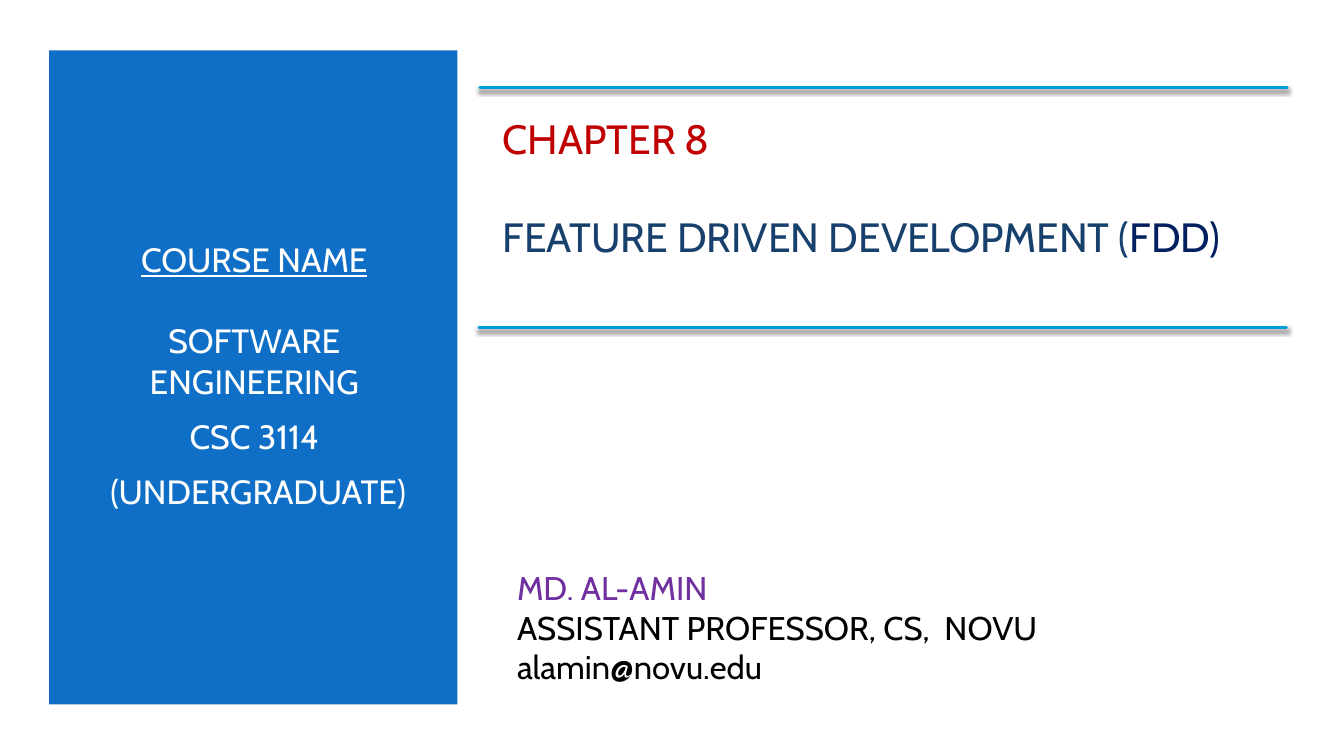
"""Build the title slide of a software engineering chapter."""
from typing import NamedTuple

from lxml import etree
from pptx import Presentation
from pptx.dml.color import RGBColor
from pptx.enum import shapes, text
from pptx.oxml import ns
from pptx.slide import Slide
from pptx.util import Cm, Pt

WHITE = RGBColor(0xFF, 0xFF, 0xFF)
BLACK = RGBColor(0x00, 0x00, 0x00)
BLUE = RGBColor(0x0F, 0x6F, 0xC6)
CYAN = RGBColor(0x00, 0x9D, 0xD9)
RED = RGBColor(0xC0, 0x00, 0x00)
NAVY = RGBColor(0x17, 0x40, 0x6D)
DARK = RGBColor(0x00, 0x20, 0x60)
PURPLE = RGBColor(0x70, 0x30, 0xA0)

WIDTH, HEIGHT = 33.87, 19.05
FONT = "Cabin"
SHADOW = (
    f'<a:effectLst xmlns:a="{ns.nsuri("a")}">'
    '<a:outerShdw blurRad="38100" dist="25400" dir="5400000" rotWithShape="0">'
    '<a:srgbClr val="000000"><a:alpha val="55000"/></a:srgbClr>'
    "</a:outerShdw></a:effectLst>"
)


class Box(NamedTuple):
    left: float
    top: float
    width: float
    height: float


class Panel(NamedTuple):
    box: Box
    color: RGBColor


class Rule(NamedTuple):
    left: float
    top: float
    width: float


class Span(NamedTuple):
    words: str
    color: RGBColor


class Line(NamedTuple):
    spans: list[Span]
    before: float = 0
    after: float = 0
    under: bool = False


class Block(NamedTuple):
    box: Box
    size: float
    align: text.PP_ALIGN
    lines: list[Line]


PANELS = [
    Panel(Box(0, 0, WIDTH, HEIGHT), WHITE),
    Panel(Box(1.24, 1.27, 10.29, 16.48), BLUE),
]
RULES = [Rule(12.09, 2.21, 20.35), Rule(12.07, 8.26, 20.35)]
COURSE = Block(Box(2.13, 2.79, 8.56, 13.34), 24, text.PP_ALIGN.CENTER, [
    Line([Span("COURSE NAME", WHITE)], under=True),
    Line([Span("SOFTWARE ENGINEERING", WHITE)], 29, 6),
    Line([Span("CSC 3114", WHITE)], 4.8, 6),
    Line([Span(" (UNDERGRADUATE)", WHITE)], 4.8, 6),
])
TITLE = Block(Box(12.42, 2.79, 19.94, 3.84), 29.2, text.PP_ALIGN.LEFT, [
    Line([Span("CHAPTER 8", RED)]),
    Line([Span("FEATURE DRIVEN DEVELOPMENT (", NAVY), Span("FDD)", DARK)], 35),
])
AUTHOR = Block(Box(12.78, 13.82, 16.92, 3.96), 23.4, text.PP_ALIGN.LEFT, [
    Line([Span("MD. AL-AMIN", PURPLE)]),
    Line([Span("ASSISTANT PROFESSOR, CS,  NOVU", BLACK)]),
    Line([Span("alamin@novu.edu", BLACK)]),
])


def draw_panel(slide: Slide, panel: Panel) -> None:
    """Draw a plain filled rectangle."""
    shape = slide.shapes.add_shape(
        shapes.MSO_SHAPE.RECTANGLE, *map(Cm, panel.box))
    shape.shadow.inherit = False
    shape.fill.solid()
    shape.fill.fore_color.rgb = panel.color
    shape.line.fill.background()


def draw_rule(slide: Slide, rule: Rule) -> None:
    """Draw a level line with a soft shadow and round ends."""
    top = Cm(rule.top)
    line = slide.shapes.add_connector(
        shapes.MSO_CONNECTOR.STRAIGHT,
        Cm(rule.left), top, Cm(rule.left + rule.width), top)
    line.line.color.rgb = CYAN
    line.line.width = Pt(2)
    props = line._element.spPr
    props.find(ns.qn("a:ln")).set("cap", "rnd")
    props.append(etree.fromstring(SHADOW))


def draw_block(slide: Slide, block: Block) -> None:
    """Draw a text box with one paragraph per line."""
    frame = slide.shapes.add_textbox(*map(Cm, block.box)).text_frame
    frame.word_wrap = True
    frame.vertical_anchor = text.MSO_ANCHOR.MIDDLE
    for index, line in enumerate(block.lines):
        para = frame.add_paragraph() if index else frame.paragraphs[0]
        para.alignment = block.align
        para.space_before = Pt(line.before)
        para.space_after = Pt(line.after)
        para.font.name = FONT
        para.font.size = Pt(block.size)
        para.font.underline = line.under
        for span in line.spans:
            run = para.add_run()
            run.text = span.words
            run.font.color.rgb = span.color


def main() -> None:
    """Build and save the slide."""
    deck = Presentation()
    deck.slide_width, deck.slide_height = Cm(WIDTH), Cm(HEIGHT)
    slide = deck.slides.add_slide(deck.slide_layouts[6])
    for panel in PANELS:
        draw_panel(slide, panel)
    for block in (COURSE, TITLE):
        draw_block(slide, block)
    for rule in RULES:
        draw_rule(slide, rule)
    draw_block(slide, AUTHOR)
    deck.save("out.pptx")


if __name__ == "__main__":
    main()
